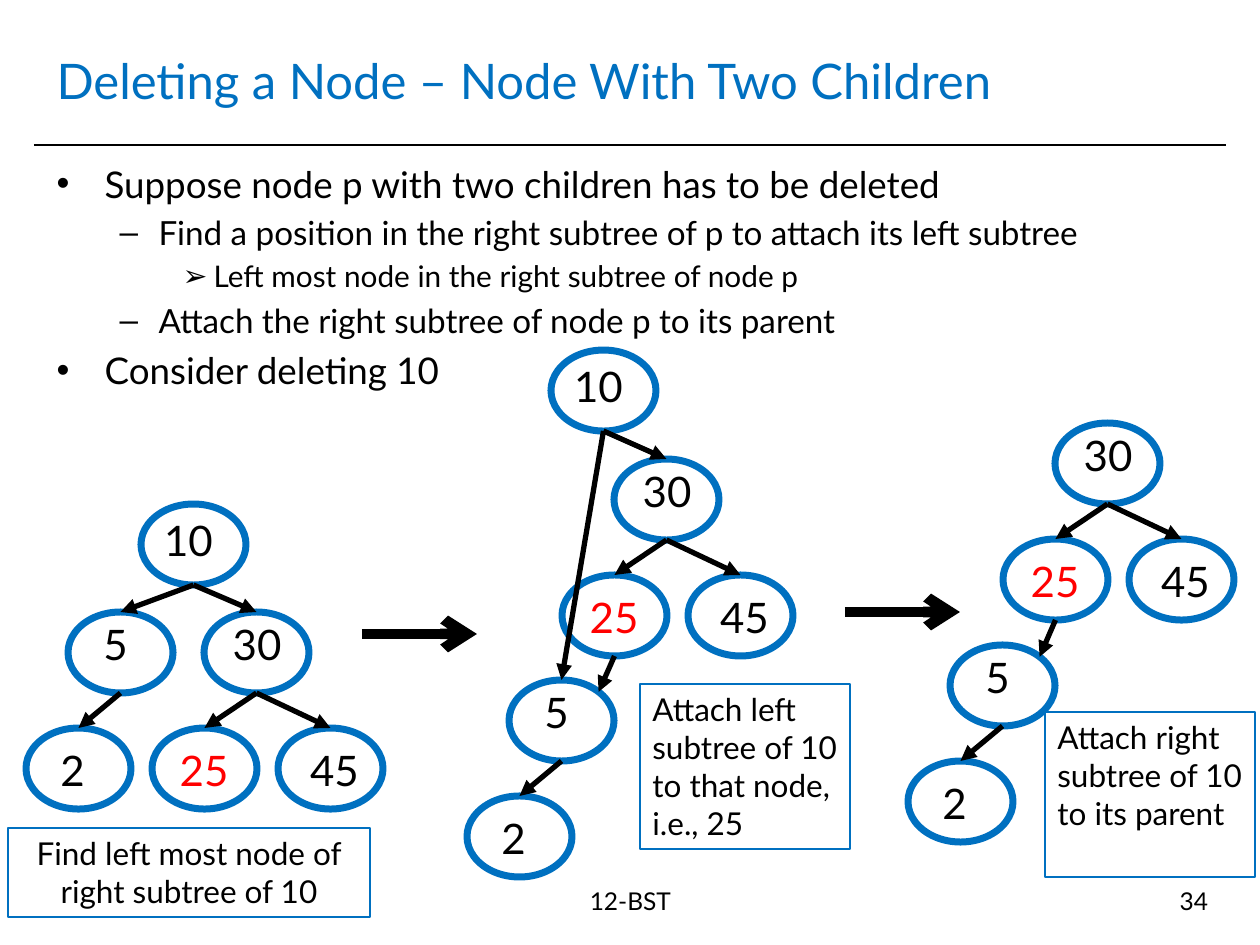
from dataclasses import dataclass

from lxml.etree import SubElement
from pptx import Presentation
from pptx.dml.color import RGBColor
from pptx.enum.shapes import MSO_CONNECTOR as Connector, MSO_SHAPE as Shape
from pptx.enum.text import MSO_ANCHOR as Anchor, MSO_AUTO_SIZE as AutoSize, PP_ALIGN as Align
from pptx.oxml.ns import qn
from pptx.util import Pt

EMU_PER_PX = 914400 / 126
FONT = "Lato"
BLUE, BLACK, RED = "0070C0", "000000", "FF0000"
NODE_W, NODE_H, LABEL_H = 105, 81, 63
DIAGONAL = 0.5 + 0.5 ** 1.5


@dataclass(frozen=True)
class Label:
    """Offset of a key's text from its node, its width and its colour."""
    dx: int
    dy: int
    width: int
    color: str = BLACK


@dataclass(frozen=True)
class Tree:
    """Node corners by key, and the edges between keys."""
    nodes: dict[int, tuple[int, int]]
    edges: list[tuple[int, int]]


@dataclass(frozen=True)
class Note:
    """A framed remark beside a tree."""
    box: tuple[int, int, int, int]
    text: str
    align: Align = Align.LEFT


@dataclass(frozen=True)
class Level:
    """Bullet look of one outline level."""
    size: int
    margin: int
    hanging: int
    bullet: str


LABELS = {
    2: Label(20, 10, 53),
    5: Label(21, 0, 53),
    10: Label(11, 4, 73),
    25: Label(10, 10, 84, RED),
    30: Label(11, 0, 84),
    45: Label(20, 10, 73),
}
TREES = [
    Tree({10: (141, 504), 5: (68, 612), 30: (204, 612), 2: (26, 728), 25: (152, 728), 45: (278, 728)},
         [(5, 2), (30, 25), (10, 30), (10, 5), (30, 45)]),
    Tree({10: (551, 350), 5: (509, 680), 30: (614, 459), 2: (467, 796), 25: (562, 575), 45: (688, 575)},
         [(5, 2), (30, 25), (10, 30), (10, 5), (30, 45), (25, 5)]),
    Tree({5: (950, 645), 30: (1055, 423), 2: (908, 761), 25: (1003, 539), 45: (1129, 539)},
         [(5, 2), (30, 25), (30, 45), (25, 5)]),
]
NOTES = [
    Note((8, 828, 362, 89), "Find left most node of right subtree of 10", Align.CENTER),
    Note((640, 684, 210, 165), "Attach left subtree of 10 to that node, i.e., 25"),
    Note((1045, 712, 210, 165), "Attach right subtree of 10 to its parent"),
]
STEP_ARROWS = [(362, 634), (845, 612)]
LEVELS = [Level(21, 48, 48, "•"), Level(19, 102, 39, "–"), Level(17, 157, 31, "➢")]
OUTLINE = [
    (0, "Suppose node p with two children has to be deleted"),
    (1, "Find a position in the right subtree of p to attach its left subtree"),
    (2, "Left most node in the right subtree of node p"),
    (1, "Attach the right subtree of node p to its parent"),
    (0, "Consider deleting 10"),
]


def px(length: float) -> int:
    """Turn pixels into EMU."""
    return round(length * EMU_PER_PX)


def rgb(color: str) -> RGBColor:
    """Turn a hex string into a colour."""
    return RGBColor.from_string(color)


def format_text(paragraph, size: int, color: str = BLACK, align: Align = Align.LEFT) -> None:
    """Set alignment and the font of every run."""
    paragraph.alignment = align
    for run in paragraph.runs:
        run.font.name, run.font.size = FONT, Pt(size)
        run.font.color.rgb = rgb(color)


def add_text(slide, box: tuple[int, int, int, int], text: str, size: int, align: Align,
             color: str = BLACK, side_inset: int = 13) -> None:
    """Add a plain text box."""
    frame = slide.shapes.add_textbox(*map(px, box)).text_frame
    frame.text = text
    frame.word_wrap = True
    frame.margin_left = frame.margin_right = px(side_inset)
    format_text(frame.paragraphs[0], size, color, align)


def add_outline_shape(slide, kind: Shape, box: tuple[int, int, int, int], width: float):
    """Add an unfilled shape with a blue outline."""
    shape = slide.shapes.add_shape(kind, *map(px, box))
    shape.shadow.inherit = False
    shape.fill.background()
    shape.line.color.rgb = rgb(BLUE)
    shape.line.width = Pt(width)
    return shape


def add_line(slide, start: tuple[float, float], end: tuple[float, float],
             width: float, head: str = "none") -> None:
    """Add a black straight line with an optional arrowhead."""
    line = slide.shapes.add_connector(Connector.STRAIGHT, *map(px, (*start, *end)))
    line.line.color.rgb = rgb(BLACK)
    line.line.width = Pt(width)
    props = line._element.spPr
    SubElement(props.find(qn("a:ln")), qn("a:tailEnd"), type=head)
    SubElement(props, qn("a:effectLst"))


def add_tree(slide, tree: Tree) -> None:
    """Draw the nodes, edges and keys of a tree."""
    for left, top in tree.nodes.values():
        add_outline_shape(slide, Shape.OVAL, (left, top, NODE_W, NODE_H), 4)
    for parent, child in tree.edges:
        left, top = tree.nodes[parent]
        child_left, child_top = tree.nodes[child]
        to_corner = (parent, child) == (25, 5)
        across, down = (DIAGONAL, 1 - DIAGONAL) if to_corner else (0.5, 0)
        add_line(slide, (left + NODE_W / 2, top + NODE_H),
                 (child_left + NODE_W * across, child_top + NODE_H * down), 3, "triangle")
    for key, (left, top) in tree.nodes.items():
        label = LABELS[key]
        box = (left + label.dx, top + label.dy, label.width, LABEL_H)
        add_text(slide, box, str(key), 24, Align.CENTER, label.color, side_inset=0)


def add_note(slide, note: Note) -> None:
    """Draw a framed remark."""
    frame = add_outline_shape(slide, Shape.RECTANGLE, note.box, 0.75).text_frame
    frame.text = note.text
    frame.word_wrap = True
    frame.vertical_anchor = Anchor.TOP
    format_text(frame.paragraphs[0], 18, align=note.align)


def place(holder, box: tuple[int, int, int, int]) -> None:
    """Move and size a placeholder."""
    holder.left, holder.top, holder.width, holder.height = map(px, box)
    holder.text_frame.auto_size = AutoSize.NONE


def fill_title(title) -> None:
    """Write the slide title."""
    place(title, (44, 26, 1171, 107))
    title.text_frame.text = "Deleting a Node – Node With Two Children"
    title.text_frame.vertical_anchor = Anchor.MIDDLE
    format_text(title.text_frame.paragraphs[0], 28, BLUE)


def fill_outline(body) -> None:
    """Write the bulleted steps."""
    place(body, (44, 155, 1171, 704))
    frame = body.text_frame
    frame.text = "\n".join(text for _, text in OUTLINE)
    for paragraph, (depth, _) in zip(frame.paragraphs, OUTLINE):
        level = LEVELS[depth]
        paragraph.level = depth
        format_text(paragraph, level.size)
        props = paragraph._p.get_or_add_pPr()
        props.set("marL", str(px(level.margin)))
        props.set("indent", str(-px(level.hanging)))
        SubElement(props, qn("a:buChar"), char=level.bullet)


def main() -> None:
    """Build and save the slide."""
    deck = Presentation()
    deck.slide_width, deck.slide_height = px(1260), px(945)
    slide = deck.slides.add_slide(deck.slide_layouts[1])
    fill_title(slide.shapes.title)
    fill_outline(slide.placeholders[1])
    add_line(slide, (34, 145), (1226, 145), 1)
    add_text(slide, (422, 880, 417, 65), "12-BST", 14, Align.CENTER)
    add_text(slide, (927, 880, 294, 65), "34", 14, Align.RIGHT)
    for tree in TREES:
        add_tree(slide, tree)
    for left, top in STEP_ARROWS:
        add_line(slide, (left, top), (left + 115, top), 6, "arrow")
    for note in NOTES:
        add_note(slide, note)
    deck.save("out.pptx")


if __name__ == "__main__":
    main()
